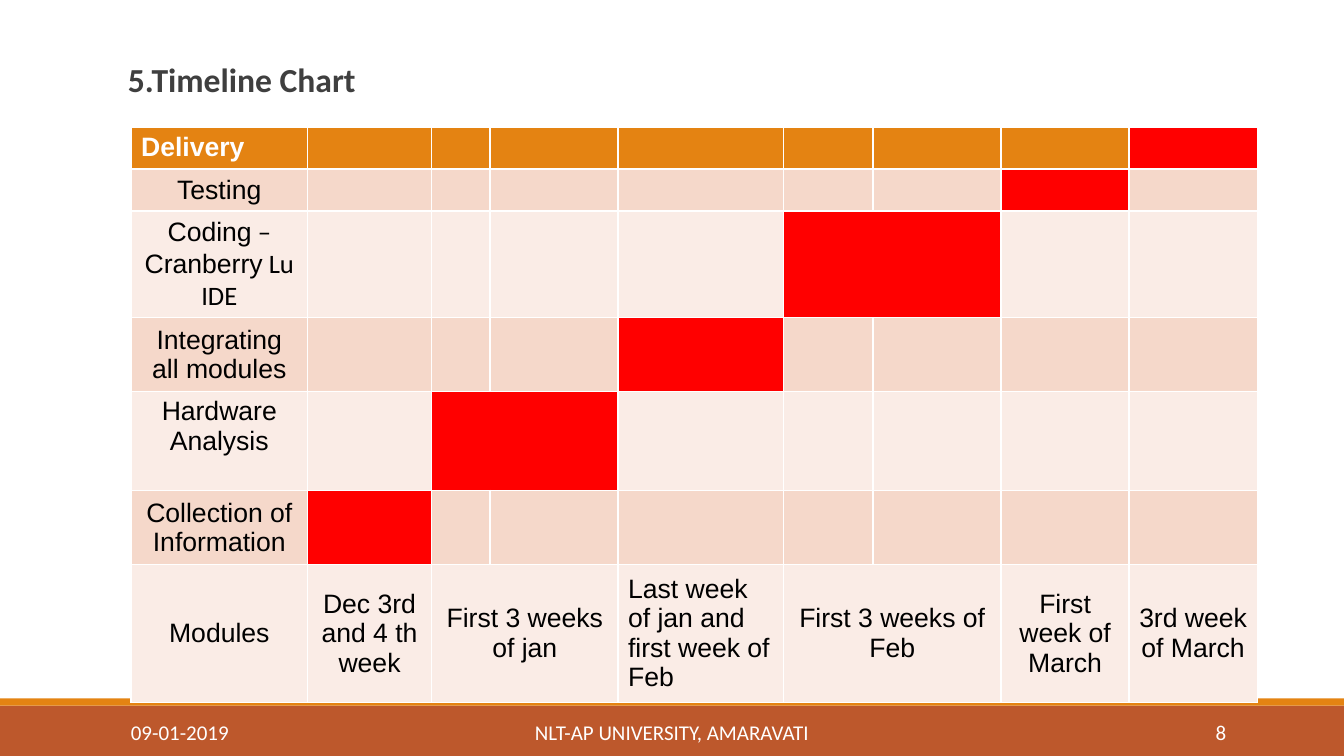
from pptx import Presentation
from pptx.dml.color import RGBColor
from pptx.enum import shapes, text
from pptx.util import Inches, Pt

ORANGE, RUST, RED = "E48312", "BD582C", "FF0000"
BANDS = ("FAECE6", "F5D8CA")
WHITE, BLACK, GREY = "FFFFFF", "000000", "3F3F3F"
LEFT, CENTER, RIGHT = text.PP_ALIGN.LEFT, text.PP_ALIGN.CENTER, text.PP_ALIGN.RIGHT
TOP, MIDDLE, BOTTOM = (text.MSO_ANCHOR.TOP, text.MSO_ANCHOR.MIDDLE,
                       text.MSO_ANCHOR.BOTTOM)

COL_WIDTHS = (1.75, 1.23, 0.58, 1.27, 1.64, 0.89, 1.27, 1.27, 1.27)
# Label runs as (words, font), row height, first and last scheduled column
TASKS = (
    ([("Delivery", "Arial")], 0.41, (8, 8)),
    ([("Testing", "Arial")], 0.41, (7, 7)),
    ([("Coding", "Arial"), (" – ", "Calibri"), ("Cranberry", "Arial"),
      (" Lu IDE", "Calibri")], 1.06, (5, 6)),
    ([("Integrating all modules", "Arial")], 0.69, (4, 4)),
    ([("Hardware Analysis", "Arial")], 0.98, (2, 3)),
    ([("Collection of Information", "Arial")], 0.69, (1, 1)),
)
AXIS_HEIGHT = 1.27
# Words, first and last column
PERIODS = (
    ("Modules", 0, 0),
    ("Dec 3rd and 4 th week", 1, 1),
    ("First 3 weeks of jan", 2, 3),
    ("Last week of jan and first week of Feb", 4, 4),
    ("First 3 weeks of Feb", 5, 6),
    ("First week of March", 7, 7),
    ("3rd week of March", 8, 8),
)


def rgb(color):
    """Turn a hex string into a colour."""
    return RGBColor.from_string(color)


def fill(target, color):
    """Fill a shape or a cell with one colour."""
    target.fill.solid()
    target.fill.fore_color.rgb = rgb(color)


def write(p, runs, size, color, align=LEFT, bold=False):
    """Write (words, font) runs into a paragraph."""
    p.alignment = align
    p.font.size, p.font.bold = Pt(size), bold
    p.font.color.rgb = rgb(color)
    for words, font in runs:
        r = p.add_run()
        r.text, r.font.name = words, font


def add_text(s, box, words, size, color, align=LEFT, anchor=MIDDLE, bold=False):
    """Add a wrapped text box and return its paragraph."""
    tf = s.shapes.add_textbox(*map(Inches, box)).text_frame
    tf.word_wrap, tf.vertical_anchor = True, anchor
    p = tf.paragraphs[0]
    write(p, [(words, "Calibri")], size, color, align, bold)
    return p


def add_bar(s, box, color):
    """Add a plain rectangle."""
    sp = s.shapes.add_shape(shapes.MSO_SHAPE.RECTANGLE, *map(Inches, box))
    sp.shadow.inherit = False
    fill(sp, color)
    sp.line.fill.background()


def add_title(s, box):
    """Add the slide title."""
    p = add_text(s, box, "5.Timeline Chart", 24, GREY, anchor=BOTTOM, bold=True)
    p.line_spacing = 0.85


def span(table, row, first, last):
    """Merge a stretch of one row and return its first cell."""
    cell = table.cell(row, first)
    if last > first:
        cell.merge(table.cell(row, last))
    return cell


def add_timeline(s, box):
    """Add the schedule: tasks down the side, periods along the bottom."""
    heights = [height for _, height, _ in TASKS] + [AXIS_HEIGHT]
    table = s.shapes.add_table(len(heights), len(COL_WIDTHS),
                               *map(Inches, box)).table
    for col, width in zip(table.columns, COL_WIDTHS):
        col.width = Inches(width)
    for i, (row, height) in enumerate(zip(table.rows, heights)):
        row.height = Inches(height)
        for cell in row.cells:
            fill(cell, BANDS[i % 2] if i else ORANGE)

    for i, (label, _, (first, last)) in enumerate(TASKS):
        fill(span(table, i, first, last), RED)
        cell, header = table.cell(i, 0), i == 0
        cell.vertical_anchor = TOP if i in (0, 4) else MIDDLE
        write(cell.text_frame.paragraphs[0], label, 19,
              WHITE if header else BLACK, LEFT if header else CENTER, header)

    for words, first, last in PERIODS:
        cell = span(table, len(TASKS), first, last)
        cell.vertical_anchor = MIDDLE
        write(cell.text_frame.paragraphs[0], [(words, "Arial")], 19, BLACK,
              LEFT if first == 4 else CENTER)


def add_footer(s, box):
    """Add the footer band with date, university and slide number."""
    x, y, w, h = box
    add_bar(s, (x, y + 0.07, w, h - 0.07), RUST)
    add_bar(s, (x, y, w, 0.07), ORANGE)
    for words, left, width, align in (
            ("09-01-2019", 1.2, 2.7, LEFT),
            ("NLT-AP UNIVERSITY, AMARAVATI", 4.03, 5.27, CENTER),
            ("8", 10.83, 1.43, RIGHT)):
        add_text(s, (x + left, y + 0.13, width, 0.4), words, 15, WHITE, align)


def main():
    """Build the timeline slide and save it."""
    prs = Presentation()
    prs.slide_width, prs.slide_height = Inches(13.33), Inches(7.5)
    s = prs.slides.add_slide(prs.slide_layouts[6])
    add_footer(s, (0, 6.93, 13.33, 0.57))
    add_title(s, (1.17, 0.31, 11, 0.73))
    add_timeline(s, (1.3, 1.26, 11.17, 5.51))
    prs.save("out.pptx")


main()
